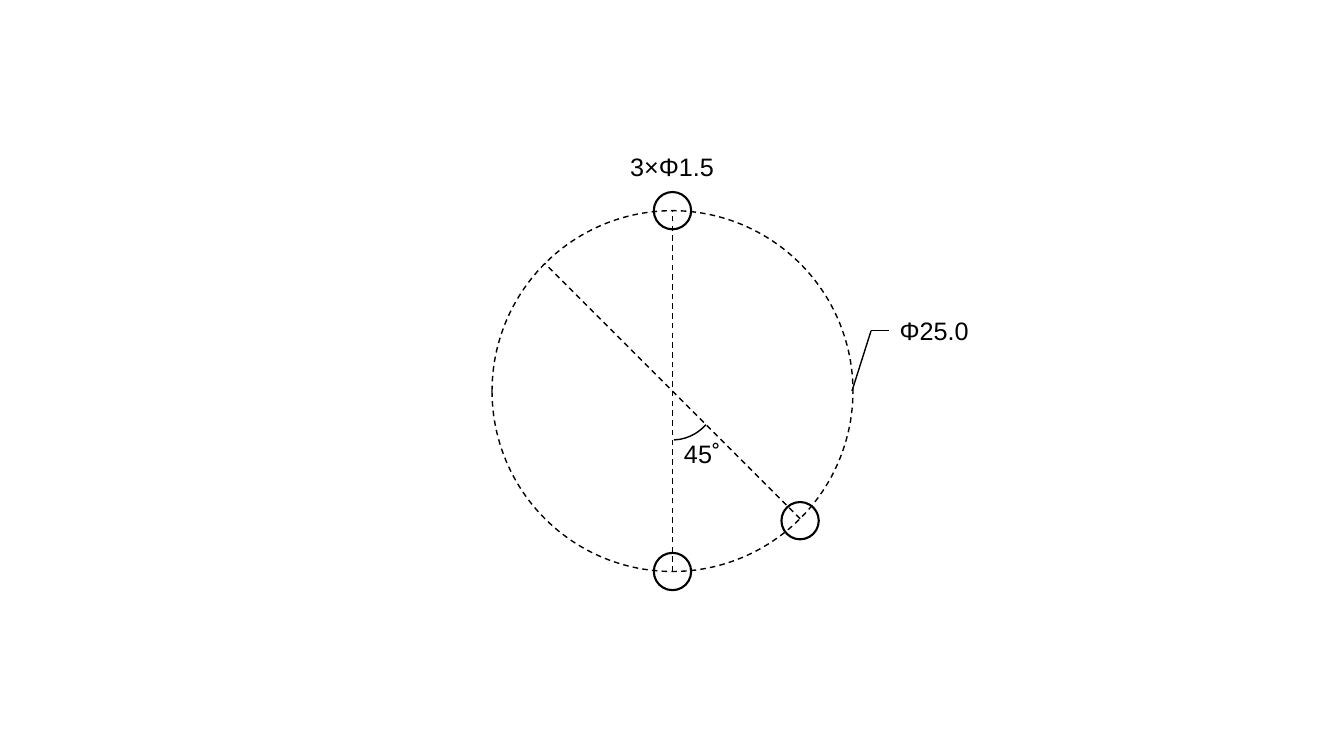
"""Draw a pitch circle with three holes, its diameters and its dimensions."""
from dataclasses import dataclass
from math import cos, radians, sin

from lxml import etree
from pptx import Presentation
from pptx.dml.color import RGBColor
from pptx.enum import dml, shapes, text
from pptx.oxml.ns import qn
from pptx.util import Inches, Pt


@dataclass(frozen=True)
class Theme:
    ink: RGBColor = RGBColor(0, 0, 0)
    font: str = "Arial"
    size: float = 18
    thin: float = 1
    thick: float = 1.5


THEME = Theme()
CENTER = (6.67, 3.88)
PITCH_RADIUS = 1.79
HOLE_DIAMETER = 0.37
HOLES = [(-90, 0), (90, 0), (45, 0.02)]
DIAMETERS = [90, 45]
LEADER = [(8.45, 3.88), (8.64, 3.28), (8.82, 3.28)]
ARC_SIZE = (0.97, 0.91)
ARC_TURN = 90
ARC_ANGLES = (315.67, 358)
LABELS = [
    ("3×Φ1.5", (6.09, 1.45, 1.15, 0.4), {}),
    ("Φ25.0", (8.82, 3.08, 0.89, 0.4), {}),
    ("45˚", (6.68, 4.31, 0.57, 0.38), {"wrap": True, "inset": (0.04, 0.04)}),
]


def on_pitch(angle):
    return (CENTER[0] + PITCH_RADIUS * cos(radians(angle)),
            CENTER[1] + PITCH_RADIUS * sin(radians(angle)))


def style_line(line, width, dashed=False):
    line.color.rgb = THEME.ink
    line.width = Pt(width)
    if dashed:
        line.dash_style = dml.MSO_LINE.DASH


def add_centered(page, kind, center, size, width, dashed=False):
    left, top = (middle - extent / 2 for middle, extent in zip(center, size))
    shape = page.shapes.add_shape(kind, *map(Inches, (left, top, *size)))
    shape.shadow.inherit = False
    shape.fill.background()
    style_line(shape.line, width, dashed)
    return shape


def add_line(page, start, end, dashed=False):
    line = page.shapes.add_connector(
        shapes.MSO_CONNECTOR.STRAIGHT, *map(Inches, (*start, *end)))
    etree.SubElement(line._element.spPr, qn("a:effectLst"))
    style_line(line.line, THEME.thin, dashed)
    effects = line._element.spPr.find(qn("a:effectLst"))
    line._element.spPr.append(effects)


def add_label(page, words, place, wrap=False, inset=(0.1, 0.05)):
    box = page.shapes.add_textbox(*map(Inches, place))
    frame = box.text_frame
    frame.word_wrap = wrap
    frame.auto_size = text.MSO_AUTO_SIZE.SHAPE_TO_FIT_TEXT
    frame.margin_left = frame.margin_right = Inches(inset[0])
    frame.margin_top = frame.margin_bottom = Inches(inset[1])
    para = frame.paragraphs[0]
    para.alignment = text.PP_ALIGN.CENTER
    span = para.add_run()
    span.text = words
    span.font.name = THEME.font
    span.font.size = Pt(THEME.size)
    span.font.color.rgb = THEME.ink


deck = Presentation()
deck.slide_width, deck.slide_height = Inches(13.33), Inches(7.5)
page = deck.slides.add_slide(deck.slide_layouts[6])

OVAL = shapes.MSO_SHAPE.OVAL
add_centered(page, OVAL, CENTER, (2 * PITCH_RADIUS,) * 2, THEME.thin, dashed=True)
for angle, drop in HOLES:
    x, y = on_pitch(angle)
    add_centered(page, OVAL, (x, y + drop), (HOLE_DIAMETER,) * 2, THEME.thick)
for angle in DIAMETERS:
    add_line(page, on_pitch(angle), on_pitch(angle + 180), dashed=True)
for start, end in zip(LEADER, LEADER[1:]):
    add_line(page, start, end)

arc = add_centered(page, shapes.MSO_SHAPE.BLOCK_ARC, CENTER, ARC_SIZE, THEME.thin)
arc.rotation = ARC_TURN
arc.fill.solid()
arc.fill.fore_color.rgb = THEME.ink
for index, angle in enumerate(ARC_ANGLES):
    arc.adjustments[index] = angle * 60000 / 100000
arc.adjustments[2] = 0

for words, place, options in LABELS:
    add_label(page, words, place, **options)

deck.save("out.pptx")
